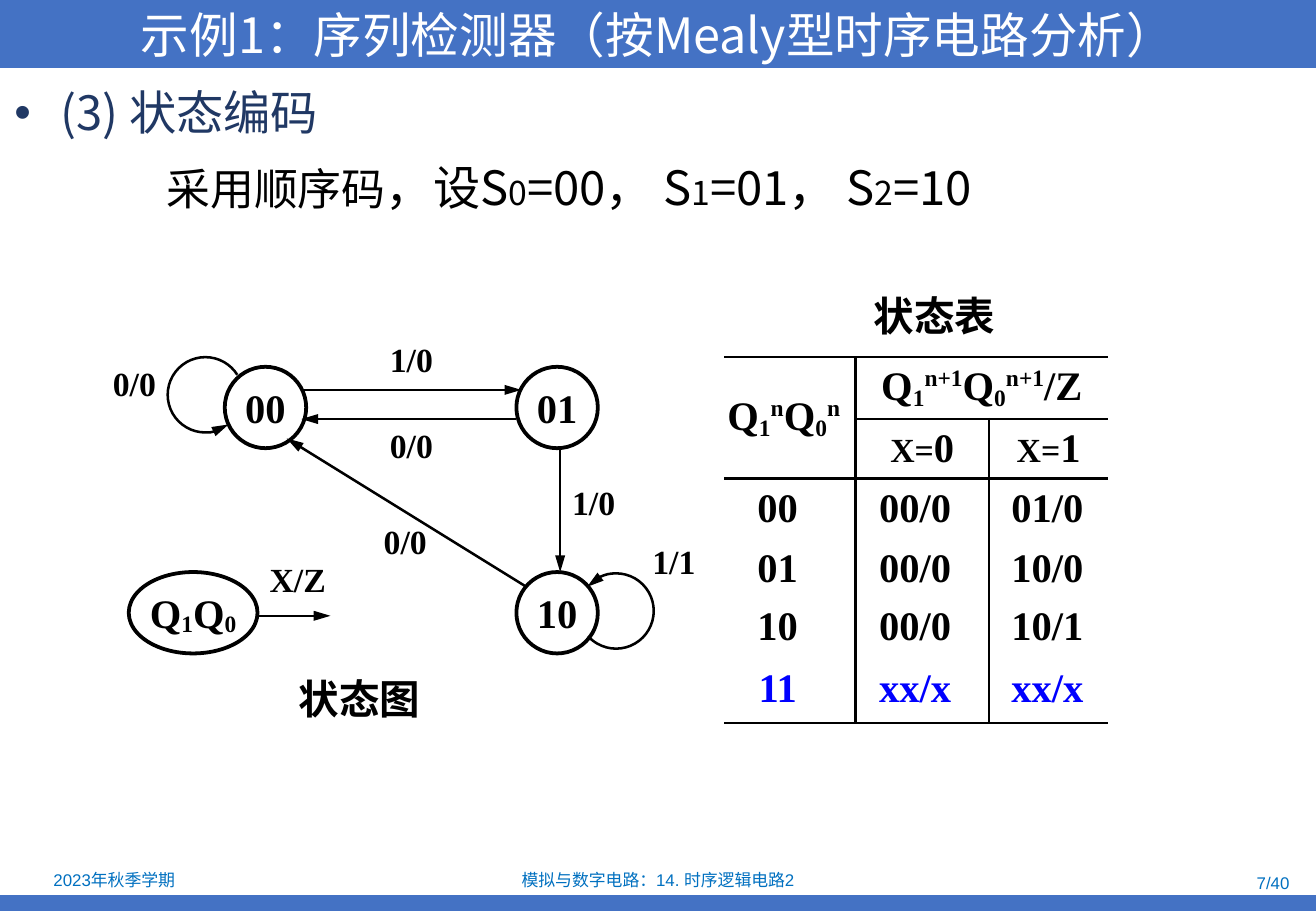
from lxml.etree import SubElement
from pptx import Presentation
from pptx.dml.color import RGBColor
from pptx.enum.shapes import MSO_CONNECTOR, MSO_SHAPE
from pptx.enum.text import MSO_ANCHOR, PP_ALIGN
from pptx.oxml.ns import qn
from pptx.util import Inches, Pt

BLUE = RGBColor(0x44, 0x72, 0xC4)
NAVY = RGBColor(0x20, 0x38, 0x64)
SKY = RGBColor(0x00, 0x70, 0xC0)
PURE = RGBColor(0x00, 0x00, 0xFF)
BLACK = RGBColor(0, 0, 0)
WHITE = RGBColor(0xFF, 0xFF, 0xFF)
NOTO, TIMES, ARIAL = "Noto Sans CJK SC", "Times New Roman", "Arial"
LEFT, CENTER, RIGHT = PP_ALIGN.LEFT, PP_ALIGN.CENTER, PP_ALIGN.RIGHT
WIDTH, HEIGHT = 10.83, 7.5

ROWS = [["00", "00/0", "01/0"], ["01", "00/0", "10/0"],
        ["10", "00/0", "10/1"], ["11", "xx/x", "xx/x"]]


def write(frame, *runs, size=24, font=TIMES, color=BLACK, bold=True,
          align=LEFT, bullet=False):
    """Fill the first paragraph; a run is a string or (string, size, baseline %)."""
    par = frame.paragraphs[0]
    par.alignment = align
    if bullet:
        props = par._p.get_or_add_pPr()
        props.set("marL", str(Inches(0.38)))
        props.set("indent", str(-Inches(0.38)))
        SubElement(props, qn("a:buFont")).set("typeface", ARIAL)
        SubElement(props, qn("a:buChar")).set("char", "•")
    for item in runs:
        words, points, base = (item, size, 0) if isinstance(item, str) else item
        run = par.add_run()
        run.text = words
        run.font.size = Pt(points)
        run.font.name = font
        run.font.bold = bold
        run.font.color.rgb = color
        props = run.font._element
        SubElement(props, qn("a:ea")).set("typeface", NOTO)
        if base:
            props.set("baseline", str(base * 1000))


def label(slide, box, *runs, wrap=False, anchor=MSO_ANCHOR.TOP, **style):
    frame = slide.shapes.add_textbox(*map(Inches, box)).text_frame
    frame.word_wrap = wrap
    frame.vertical_anchor = anchor
    write(frame, *runs, **style)


def bar(slide, top, height):
    shape = slide.shapes.add_shape(
        MSO_SHAPE.RECTANGLE, 0, Inches(top), Inches(WIDTH), Inches(height))
    shape.shadow.inherit = False
    shape.fill.solid()
    shape.fill.fore_color.rgb = BLUE
    shape.line.fill.background()
    shape.text_frame.vertical_anchor = MSO_ANCHOR.MIDDLE
    return shape


def outline(slide, kind, box, width):
    shape = slide.shapes.add_shape(kind, *map(Inches, box))
    shape.shadow.inherit = False
    shape.fill.background()
    shape.line.color.rgb = BLACK
    shape.line.width = Pt(width)
    return shape


def node(slide, left, top, *runs, width=0.67):
    frame = outline(slide, MSO_SHAPE.OVAL, (left, top, width, 0.67), 2.25).text_frame
    frame.margin_left = frame.margin_right = 0
    frame.margin_top = frame.margin_bottom = 0
    frame.word_wrap = False
    frame.vertical_anchor = MSO_ANCHOR.MIDDLE
    write(frame, *runs, align=CENTER)


def point(shape, end):
    """Put a long triangle on the headEnd or tailEnd of a line."""
    line = shape._element.spPr.find(qn("a:ln"))
    head = SubElement(line, qn("a:" + end))
    head.set("type", "triangle")
    head.set("len", "lg")


def arrow(slide, *ends):
    line = slide.shapes.add_connector(MSO_CONNECTOR.STRAIGHT, *map(Inches, ends))
    line.line.color.rgb = BLACK
    line.line.width = Pt(1.5)
    point(line, "tailEnd")
    SubElement(line._element.spPr, qn("a:effectLst"))


def loop(slide, left, top, start, stop):
    """Draw a clockwise arc between two angles, with its arrowhead at the start."""
    arc = outline(slide, MSO_SHAPE.ARC, (left, top, 0.62, 0.62), 1.5)
    for slot, angle in enumerate((start, stop)):
        arc.adjustments[slot] = angle * 0.6
    point(arc, "headEnd")


def edge(cell, sides):
    """Rule the named sides (L, R, T, B) of a cell and clear the others."""
    props = cell._tc.get_or_add_tcPr()
    for side in "LRTB":
        line = SubElement(props, qn("a:ln" + side))
        line.set("w", str(Pt(1.5)))
        if side in sides:
            fill = SubElement(line, qn("a:solidFill"))
            SubElement(fill, qn("a:srgbClr")).set("val", str(BLACK))
        else:
            SubElement(line, qn("a:noFill"))


def sides(row, col):
    rules = {
        "L": col == 1 or (col == 2 and row > 0),
        "R": col == 0 or (col == 1 and row > 0),
        "T": row in (0, 2) or (row == 1 and col > 0),
        "B": row in (1, 5) or (row == 0 and col > 0),
    }
    return [side for side, ruled in rules.items() if ruled]


def states(slide):
    widths = [1.08, 1.1, 0.98]
    heights = [0.51, 0.49, 0.5, 0.48, 0.48, 0.55]
    heads = {
        (0, 0): ["Q", ("1", 24, -15), ("n", 24, 35),
                 "Q", ("0", 24, -15), ("n", 24, 35)],
        (0, 1): ["Q", ("1", 24, -15), ("n+1", 24, 35),
                 "Q", ("0", 24, -15), ("n+1", 24, 35), "/Z"],
        (1, 1): [("X=", 20, 0), "0"],
        (1, 2): [("X=", 20, 0), "1"],
    }
    table = slide.shapes.add_table(
        6, 3, Inches(5.96), Inches(2.94),
        Inches(sum(widths)), Inches(sum(heights))).table
    table.first_row = table.horz_banding = False
    for col, width in enumerate(widths):
        table.columns[col].width = Inches(width)
    for row, height in enumerate(heights):
        table.rows[row].height = Inches(height)
    table.cell(0, 0).merge(table.cell(1, 0))
    table.cell(0, 1).merge(table.cell(0, 2))
    for row in range(6):
        for col in range(3):
            cell = table.cell(row, col)
            edge(cell, sides(row, col))
            cell.fill.background()
            cell.margin_left = cell.margin_top = cell.margin_bottom = 0
            gaps = (0.2, 0.12, 0.02) if row > 1 else (0.1, 0, 0)
            cell.margin_right = Inches(gaps[col])
            cell.vertical_anchor = MSO_ANCHOR.MIDDLE
            runs = [ROWS[row - 2][col]] if row > 1 else heads.get((row, col), [])
            write(cell.text_frame, *runs, align=CENTER,
                  color=PURE if row == 5 else BLACK)


def graph(slide):
    for ends in [(2.48, 3.21, 4.29, 3.21), (4.25, 3.45, 2.48, 3.45),
                 (4.61, 3.69, 4.61, 4.71), (4.33, 4.83, 2.36, 3.61),
                 (2.12, 5.07, 2.72, 5.07)]:
        arrow(slide, *ends)
    loop(slide, 1.38, 2.94, 52, 328)
    loop(slide, 4.76, 4.72, 220, 138)
    for words, left, top in [("1/0", 3.11, 2.74), ("1/0", 4.61, 3.92),
                             ("0/0", 3.06, 4.24), ("0/0", 3.11, 3.45),
                             ("0/0", 0.83, 2.94), ("1/1", 5.27, 4.4),
                             ("X/Z", 2.12, 4.55)]:
        label(slide, (left, top, 0.8 if words == "X/Z" else 0.56, 0.43),
              words, size=20)
    node(slide, 1.85, 3.02, "00")
    node(slide, 4.25, 3.02, "01")
    node(slide, 4.25, 4.71, "10")
    node(slide, 1.06, 4.71, "Q", ("1", 24, -10), "Q", ("0", 24, -10), width=1.06)


def main():
    deck = Presentation()
    deck.slide_width, deck.slide_height = Inches(WIDTH), Inches(HEIGHT)
    slide = deck.slides.add_slide(deck.slide_layouts[6])
    bar(slide, 7.37, 0.13)
    title = bar(slide, 0, 0.56)
    write(title.text_frame, "示例1：序列检测器（按Mealy型时序电路分析）",
          size=28.8, font=NOTO, color=WHITE, bold=False, align=CENTER)
    label(slide, (0.02, 0.64, 10.81, 0.6), "(3) 状态编码", size=28, font=NOTO,
          color=NAVY, bold=False, wrap=True, bullet=True)
    label(slide, (1.27, 1.25, 7.76, 0.57), ("采用顺序码", 26, 0), "，设S",
          ("0", 20, 0), "=00， S", ("1", 20, 0), "=01， S", ("2", 20, 0), "=10",
          size=28, font=NOTO, bold=False, wrap=True)
    graph(slide)
    states(slide)
    label(slide, (2.36, 5.5, 1.21, 0.5), "状态图", font=ARIAL)
    label(slide, (7.09, 2.35, 1.21, 0.5), "状态表", font=ARIAL)
    for words, box, align in [
            ("2023年秋季学期", (0.02, 7.13, 1.84, 0.23), CENTER),
            ("模拟与数字电路：14. 时序逻辑电路2", (3.7, 7.14, 3.43, 0.21), CENTER),
            ("7/40", (8.18, 7.16, 2.53, 0.21), RIGHT)]:
        label(slide, box, words, size=10, font=ARIAL, color=SKY, bold=False,
              align=align, wrap=True, anchor=MSO_ANCHOR.MIDDLE)
    deck.save("out.pptx")


if __name__ == "__main__":
    main()
